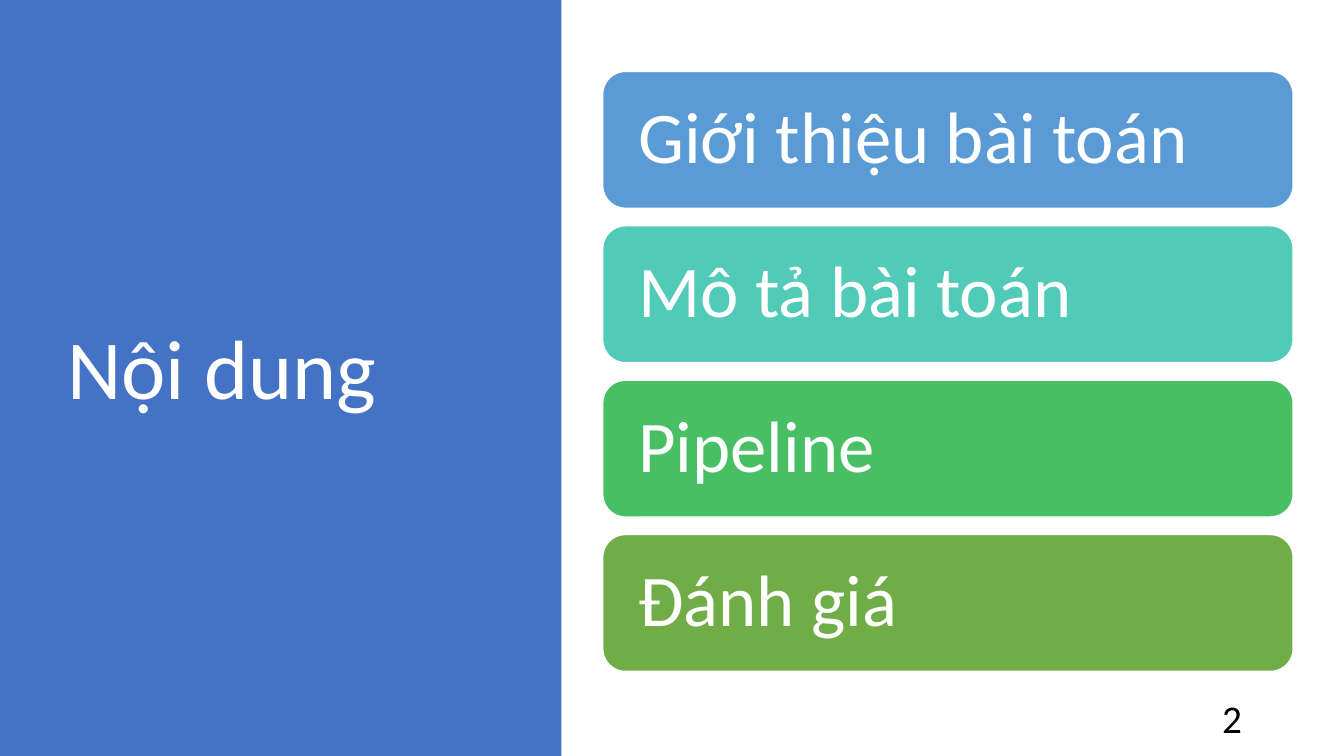
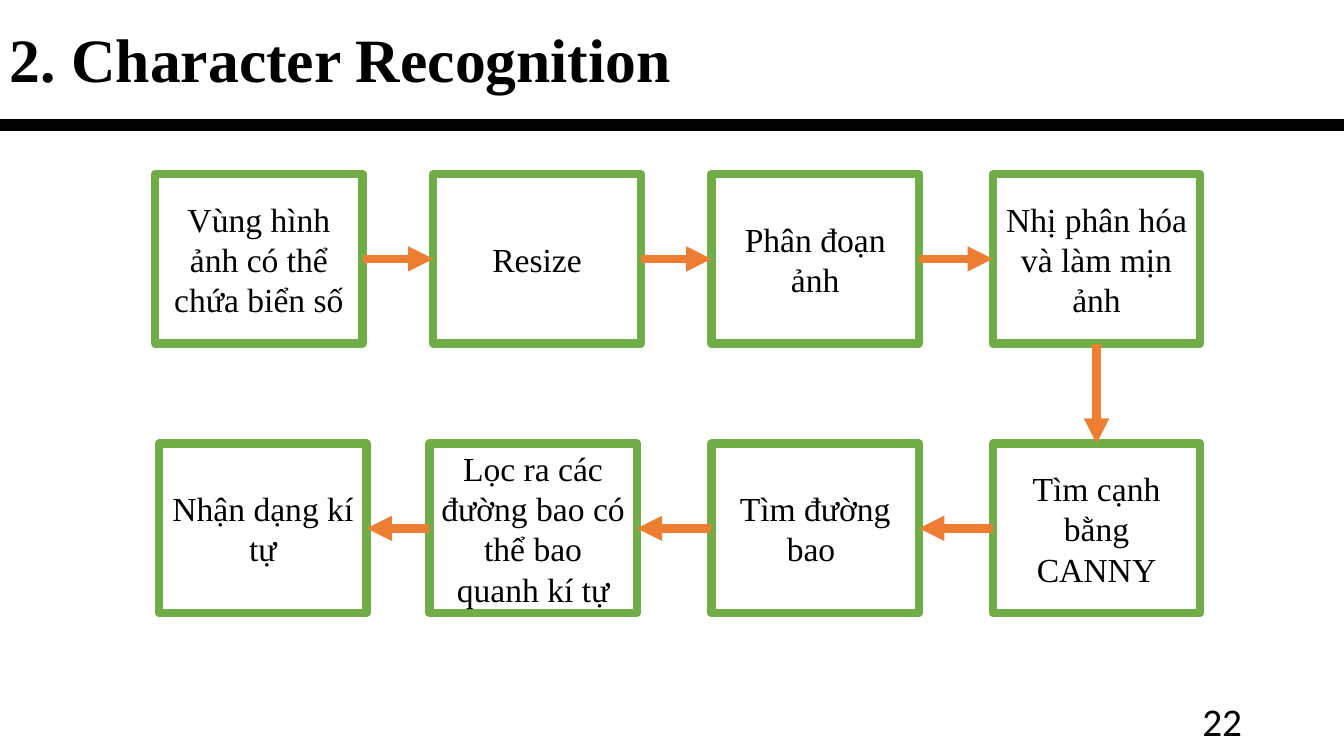
from lxml.etree import SubElement
from pptx import Presentation
from pptx.dml.color import RGBColor
from pptx.enum.shapes import MSO_CONNECTOR as Connector, MSO_SHAPE as Shape
from pptx.enum.text import MSO_ANCHOR as Anchor, PP_ALIGN as Align
from pptx.oxml.ns import qn
from pptx.util import Cm, Pt

# Shared look
rgb = RGBColor.from_string
WHITE, BLACK = "FFFFFF", "000000"
BLUE, GREEN, ORANGE = "4472C4", "70AD47", "ED7D31"
SANS, SERIF = "Calibri", "Times New Roman"
WIDTH, HEIGHT = Cm(33.87), Cm(19.05)
NUMBER_BOX = Cm(23.93), Cm(17.65), Cm(7.62), Cm(1.02)


def paint(item, line=None, width=0, fill=None):
    """Set outline and fill, and switch the shadow off."""
    if fill:
        item.fill.solid()
        item.fill.fore_color.rgb = rgb(fill)
    if line:
        item.line.color.rgb = rgb(line)
        item.line.width = Pt(width)
    else:
        item.line.fill.background()
    SubElement(item._element.spPr, qn("a:effectLst"))


def write(box, text, size, font=SANS, color=BLACK, align=Align.LEFT,
          spacing=0.9, bold=False):
    """Put one vertically centred paragraph in a box."""
    frame = box.text_frame
    frame.word_wrap = True
    frame.vertical_anchor = Anchor.MIDDLE
    paragraph = frame.paragraphs[0]
    paragraph.alignment = align
    paragraph.line_spacing = spacing
    run = paragraph.add_run()
    run.text = text
    run.font.size = Pt(size)
    run.font.name = font
    run.font.bold = bold
    run.font.color.rgb = rgb(color)


deck = Presentation()
deck.slide_width, deck.slide_height = WIDTH, HEIGHT
blank = deck.slide_layouts[6]

# Contents slide: blue panel with the heading
contents = deck.slides.add_slide(blank)
panel = contents.shapes.add_shape(Shape.RECTANGLE, 0, 0, Cm(14.15), HEIGHT)
paint(panel, fill=BLUE)
heading = contents.shapes.add_textbox(Cm(1.45), Cm(1.73), Cm(10.57), Cm(15.29))
write(heading, "Nội dung", 60, color=WHITE)

# Contents slide: one card per topic
topics = [
    ("Giới thiệu bài toán", "5B9BD5"),
    ("Mô tả bài toán", "52CAB8"),
    ("Pipeline", "49BF64"),
    ("Đánh giá", GREEN),
]
for row, (topic, color) in enumerate(topics):
    card = contents.shapes.add_shape(
        Shape.ROUNDED_RECTANGLE,
        Cm(15.19), Cm(1.8 + 3.89 * row), Cm(17.4), Cm(3.45))
    paint(card, WHITE, 1, color)
    card.text_frame.margin_left = Cm(0.73)
    write(card, topic, 52, color=WHITE)

# Recognition slide: title above a black rule
recognition = deck.slides.add_slide(blank)
title = recognition.shapes.add_textbox(0, Cm(0.28), Cm(29.21), Cm(2.57))
write(title, "2. Character Recognition", 44, SERIF, bold=True)
rule = recognition.shapes.add_connector(
    Connector.STRAIGHT, 0, Cm(3.15), WIDTH, Cm(3.15))
paint(rule, BLACK, 9)

# Recognition slide: steps run right, then down, then back left
step_width, step_height = 5.23, 4.27
upper, lower = 4.39, 11.18
step_places = [
    ("Vùng hình ảnh có thể chứa biển số", 3.91, upper),
    ("Resize", 10.92, upper),
    ("Phân đoạn ảnh", 17.93, upper),
    ("Nhị phân hóa và làm mịn ảnh", 25.02, upper),
    ("Tìm cạnh bằng CANNY", 25.02, lower),
    ("Tìm đường bao ", 17.93, lower),
    ("Lọc ra các đường bao có thể bao quanh kí tự", 10.82, lower),
    ("Nhận dạng kí tự", 4.01, lower),
]
steps = []
for text, left, top in step_places:
    step = recognition.shapes.add_shape(
        Shape.RECTANGLE, Cm(left), Cm(top), Cm(step_width), Cm(step_height))
    paint(step, GREEN, 6, WHITE)
    write(step, text, 24, SERIF, align=Align.CENTER, spacing=1.0)
    steps.append(step)

# Recognition slide: an arrow from each step to the next
TOP, LEFT, BOTTOM, RIGHT = range(4)
for step, following in zip(steps, steps[1:]):
    if step.top != following.top:
        leave, enter = BOTTOM, TOP
    elif step.left < following.left:
        leave, enter = RIGHT, LEFT
    else:
        leave, enter = LEFT, RIGHT
    arrow = recognition.shapes.add_connector(Connector.STRAIGHT, 0, 0, 0, 0)
    arrow.begin_connect(step, leave)
    arrow.end_connect(following, enter)
    paint(arrow, ORANGE, 6)
    SubElement(arrow.line._get_or_add_ln(), qn("a:tailEnd"), type="triangle")

# Page numbers
for slide, number, spacing in [(contents, "2", 0.9), (recognition, "22", 1.0)]:
    page_number = slide.shapes.add_textbox(*NUMBER_BOX)
    write(page_number, number, 28, align=Align.RIGHT, spacing=spacing)

deck.save("out.pptx")
